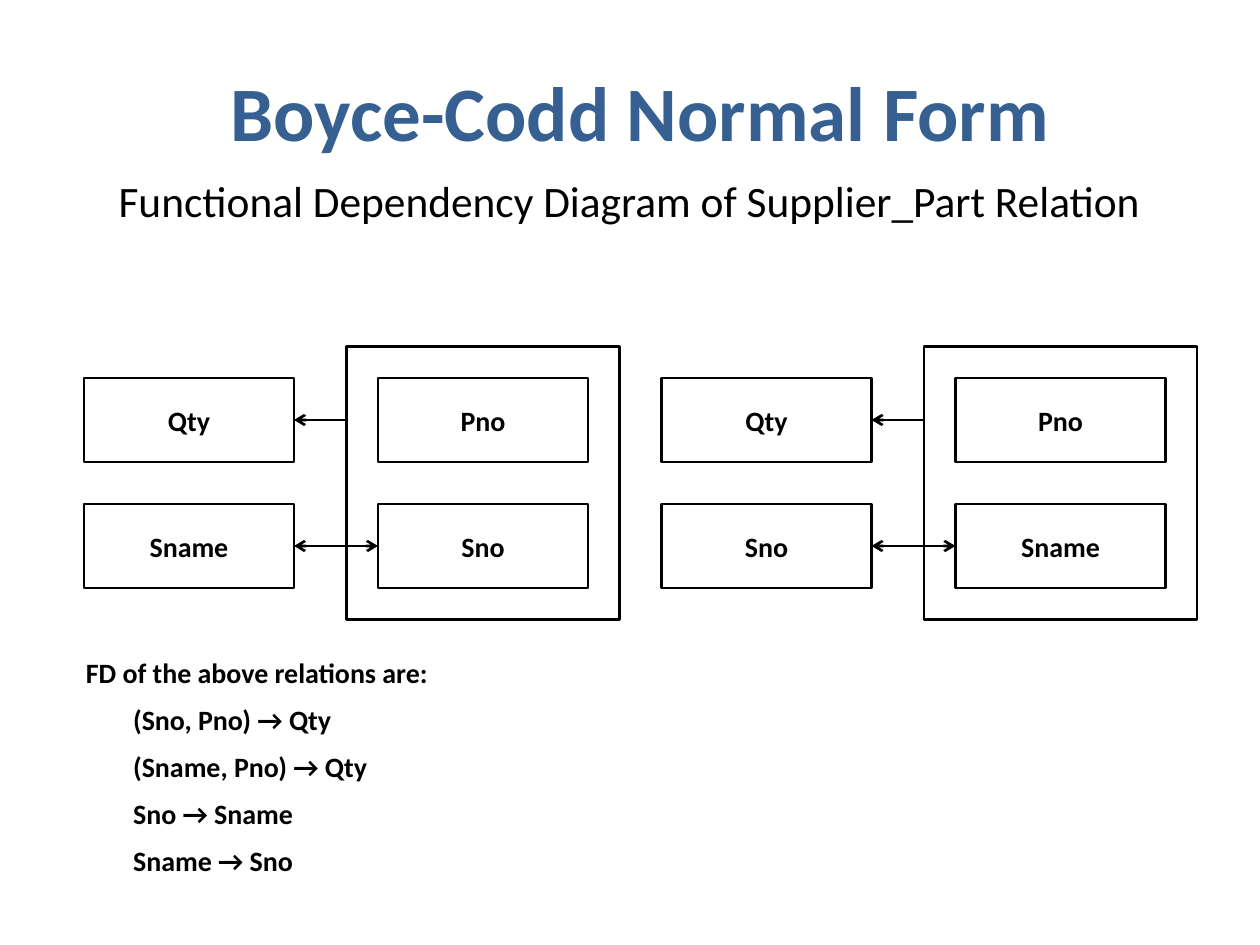
from dataclasses import dataclass

from lxml import etree
from pptx import Presentation
from pptx.dml.color import RGBColor
from pptx.enum import shapes, text
from pptx.oxml.ns import qn
from pptx.util import Pt


@dataclass(frozen=True)
class Theme:
    font: str = "Calibri"
    ink: RGBColor = RGBColor(0, 0, 0)
    accent: RGBColor = RGBColor(0x37, 0x60, 0x92)
    title: float = 44
    subtitle: float = 24.8
    body: float = 16
    line: float = 1.5


THEME = Theme()
CELL_W, CELL_H = 120, 48
ROW_STEP = 72
COLUMN_STEP = 168
FRAME_PAD = 18


def style(p, size, color=THEME.ink, bold=True, align=text.PP_ALIGN.CENTER):
    p.alignment = align
    p.font.name = THEME.font
    p.font.size = Pt(size)
    p.font.bold = bold
    p.font.color.rgb = color


def add_title(s, x, y, w, h, words):
    sp = s.shapes.title
    sp.left, sp.top, sp.width, sp.height = Pt(x), Pt(y), Pt(w), Pt(h)
    tf = sp.text_frame
    tf.text = words
    tf.vertical_anchor = text.MSO_ANCHOR.MIDDLE
    style(tf.paragraphs[0], THEME.title, THEME.accent)


def add_text(s, x, y, w, h, anchor):
    tf = s.shapes.add_textbox(Pt(x), Pt(y), Pt(w), Pt(h)).text_frame
    tf.word_wrap = True
    tf.vertical_anchor = anchor
    return tf


def add_subtitle(s, x, y, w, h, words):
    tf = add_text(s, x, y, w, h, text.MSO_ANCHOR.TOP)
    tf.text = words
    style(tf.paragraphs[0], THEME.subtitle, bold=False)


def add_box(s, x, y, w, h, label=""):
    sp = s.shapes.add_shape(shapes.MSO_SHAPE.RECTANGLE, Pt(x), Pt(y), Pt(w), Pt(h))
    sp.shadow.inherit = False
    sp.fill.background()
    sp.line.color.rgb = THEME.ink
    sp.line.width = Pt(THEME.line)
    if label:
        tf = sp.text_frame
        tf.text = label
        tf.vertical_anchor = text.MSO_ANCHOR.MIDDLE
        style(tf.paragraphs[0], THEME.body)


def add_arrow(s, x1, x2, y, both=False):
    """Draw a horizontal arrow pointing at x2, and at x1 too when both is set."""
    c = s.shapes.add_connector(
        shapes.MSO_CONNECTOR.STRAIGHT, Pt(x1), Pt(y), Pt(x2), Pt(y))
    c.line.color.rgb = THEME.ink
    c.line.width = Pt(THEME.line)
    ln = c.line._get_or_add_ln()
    for end in ("headEnd", "tailEnd") if both else ("tailEnd",):
        etree.SubElement(ln, qn(f"a:{end}"), type="arrow")
    etree.SubElement(c._element.spPr, qn("a:effectLst"))


def add_dependency_diagram(s, x, y, dependents, key):
    """Draw two dependents beside the framed key; x, y is the first cell's corner."""
    key_x = x + COLUMN_STEP
    for column_x, labels in ((x, dependents), (key_x, key)):
        for row, label in enumerate(labels):
            add_box(s, column_x, y + row * ROW_STEP, CELL_W, CELL_H, label)
    frame_x = key_x - FRAME_PAD
    add_box(s, frame_x, y - FRAME_PAD, CELL_W + 2 * FRAME_PAD,
            ROW_STEP + CELL_H + 2 * FRAME_PAD)
    first_y = y + CELL_H / 2
    add_arrow(s, frame_x, x + CELL_W, first_y)
    add_arrow(s, x + CELL_W, key_x, first_y + ROW_STEP, both=True)


def add_dependency_list(s, x, y, w, h, heading, items):
    tf = add_text(s, x, y, w, h, text.MSO_ANCHOR.MIDDLE)
    tf.text = "\n".join([heading, *items])
    for i, p in enumerate(tf.paragraphs):
        style(p, THEME.body, align=text.PP_ALIGN.LEFT)
        if i:
            p.space_before = Pt(7.6)
            p._p.get_or_add_pPr().set("marL", str(Pt(27)))


def main():
    prs = Presentation()
    prs.slide_width, prs.slide_height = Pt(720), Pt(540)
    s = prs.slides.add_slide(prs.slide_layouts[5])
    add_title(s, 42, 18, 648, 90, "Boyce-Codd Normal Form")
    add_subtitle(s, 36, 96, 648, 42,
                 "Functional Dependency Diagram of Supplier_Part Relation")
    add_dependency_diagram(s, 48, 216, ("Qty", "Sname"), ("Pno", "Sno"))
    add_dependency_diagram(s, 378, 216, ("Qty", "Sno"), ("Pno", "Sname"))
    add_dependency_list(
        s, 42, 365, 222, 146, "FD of the above relations are:",
        ("(Sno, Pno) → Qty", "(Sname, Pno) → Qty", "Sno → Sname", "Sname → Sno"))
    prs.save("out.pptx")


if __name__ == "__main__":
    main()
